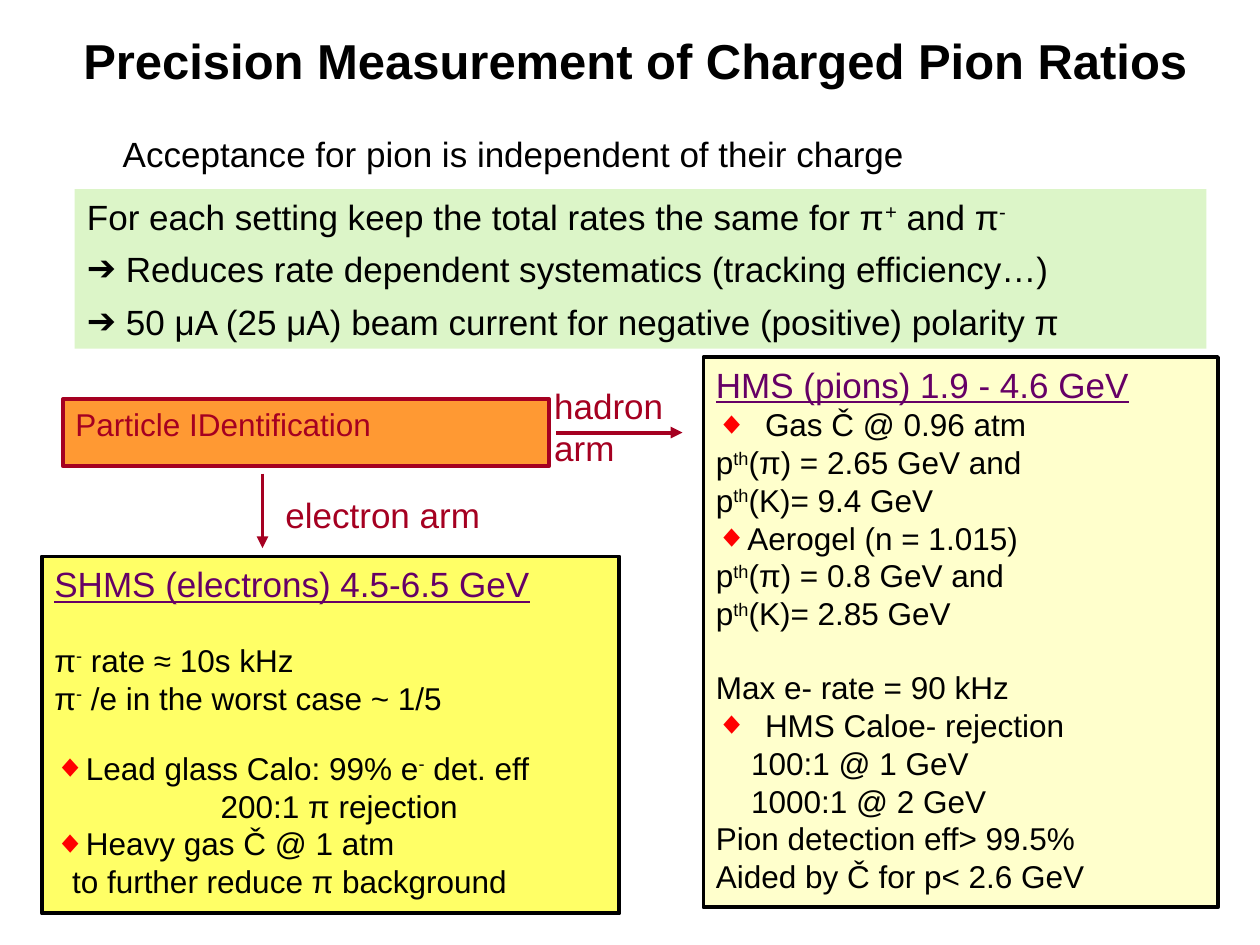
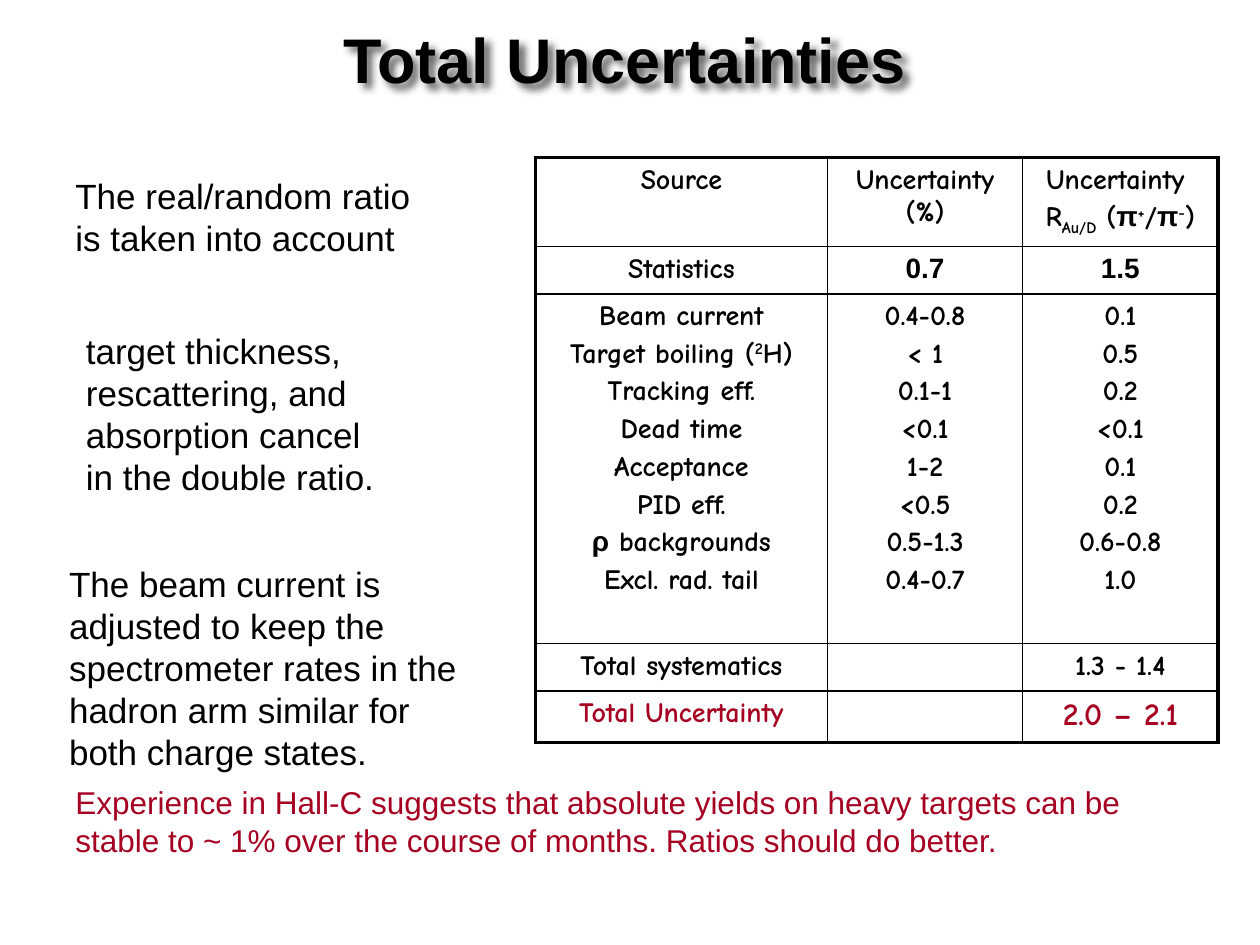
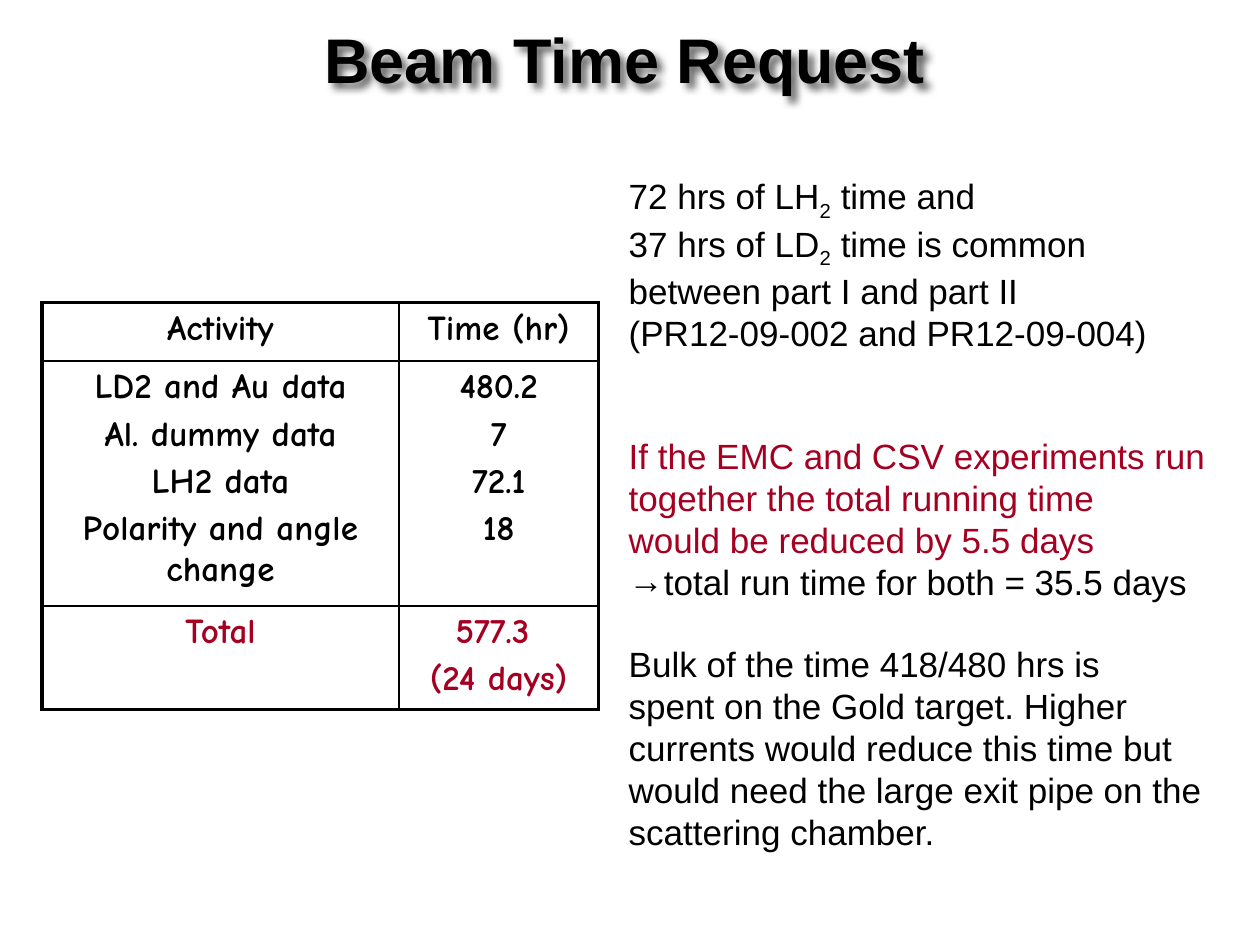
from itertools import groupby

from lxml import etree
from pptx import Presentation
from pptx.dml.color import RGBColor
from pptx.enum.shapes import MSO_CONNECTOR, MSO_SHAPE
from pptx.enum.text import MSO_ANCHOR, PP_ALIGN
from pptx.oxml.ns import qn
from pptx.util import Inches, Pt

RECTANGLE = MSO_SHAPE.RECTANGLE
STRAIGHT = MSO_CONNECTOR.STRAIGHT
TOP, MIDDLE = MSO_ANCHOR.TOP, MSO_ANCHOR.MIDDLE
LEFT, CENTER = PP_ALIGN.LEFT, PP_ALIGN.CENTER

# Shared look
WIDTH, HEIGHT = Inches(10), Inches(7.5)
COLUMNS = 120  # square grid: 120 columns by 90 rows
TITLE_ONLY = 5
BLACK, CRIMSON, PURPLE, RED = "000000", "A50021", "660066", "FF0000"
BODY_FONT, TABLE_FONT = "Arial", "Comic Neue"
THICK, THIN = 2.25, 1
BASELINES = {"^": 30000, "_": -25000}
GREEK = "πρ"

# Paragraph formats
BODY = {"size": 20, "color": BLACK}
SMALL = {"size": 18, "color": BLACK}
LABEL = {"size": 20, "color": CRIMSON}
HEADING = {"size": 20, "color": PURPLE, "underline": True}
DIAMOND = {"bullet": "◆", "bullet_color": RED, "indent": 0.25}
WIDE_DIAMOND = {**DIAMOND, "indent": 0.39}
ARROW = {"bullet": "➔", "indent": 0.31, "after": 6}


def rgb(color):
    return RGBColor.from_string(color)


def grid(*cells):
    return [round(WIDTH * cell / COLUMNS) for cell in cells]


def blank_lines(size, count=1):
    """Space before a paragraph worth some empty lines of a text size."""
    return round(size * 1.15 * count, 1)


def child(parent, tag, **attributes):
    return etree.SubElement(parent, qn(tag), attributes)


# Text
def split_runs(text, font):
    """Yield (text, baseline, font); ^...^ raises and _..._ lowers."""
    baseline = 0
    for is_mark, group in groupby(text, lambda char: char in BASELINES):
        piece = "".join(group)
        if is_mark:
            baseline = 0 if baseline else BASELINES[piece]
            continue
        for is_greek, letters in groupby(piece, lambda char: char in GREEK):
            yield "".join(letters), baseline, BODY_FONT if is_greek else font


def add_bullet(paragraph, style):
    properties = paragraph._p.get_or_add_pPr()
    indent = Inches(style.get("indent", 0))
    properties.set("marL", str(indent))
    if "bullet" in style:
        properties.set("indent", str(-indent))
        color = child(properties, "a:buClr")
        child(color, "a:srgbClr", val=style.get("bullet_color", style["color"]))
        child(properties, "a:buFont", typeface=BODY_FONT)
        child(properties, "a:buChar", char=style["bullet"])
    else:
        child(properties, "a:buNone")


def write(frame, paragraphs, base):
    """Fill a frame with strings or (string, format) pairs."""
    frame.word_wrap = True
    for index, item in enumerate(paragraphs):
        text, own = (item, {}) if isinstance(item, str) else item
        style = {**base, **own}
        paragraph = frame.add_paragraph() if index else frame.paragraphs[0]
        add_bullet(paragraph, style)
        layout = {
            "alignment": style.get("align", LEFT),
            "space_before": Pt(style.get("before", 0) if index else 0),
            "space_after": Pt(style.get("after", 0)),
            "line_spacing": style.get("spacing", 1.0),
        }
        for name, value in layout.items():
            setattr(paragraph, name, value)
        for piece, baseline, font in split_runs(text, style.get("font", BODY_FONT)):
            run = paragraph.add_run()
            run.text = piece
            look = {
                "name": font,
                "size": Pt(style["size"]),
                "bold": style.get("bold", False),
                "underline": style.get("underline", False),
            }
            for name, value in look.items():
                setattr(run.font, name, value)
            run.font.color.rgb = rgb(style["color"])
            if baseline:
                run._r.get_or_add_rPr().set("baseline", str(baseline))


def add_title_slide(deck, text, area, size, anchor=TOP, shadow=True):
    slide = deck.slides.add_slide(deck.slide_layouts[TITLE_ONLY])
    title = slide.shapes.title
    title.left, title.top, title.width, title.height = grid(*area)
    frame = title.text_frame
    frame.vertical_anchor = anchor
    write(frame, [text], {"size": size, "color": BLACK, "bold": True,
                          "align": CENTER, "spacing": 0.93})
    if shadow:
        effects = child(title._element.spPr, "a:effectLst")
        outer = child(effects, "a:outerShdw", blurRad="50800", dist="50800",
                      dir="2700000", algn="tl", rotWithShape="0")
        color = child(outer, "a:srgbClr", val=BLACK)
        child(color, "a:alpha", val="60000")
    else:
        for side in ("left", "top", "right", "bottom"):
            setattr(frame, f"margin_{side}", 0)
    return slide


def add_text(slide, area, paragraphs, base=BODY):
    write(slide.shapes.add_textbox(*grid(*area)).text_frame, paragraphs, base)


# Panels and arrows
def add_panel(slide, area, fill, paragraphs, base, outline=None):
    panel = slide.shapes.add_shape(RECTANGLE, *grid(*area))
    panel.shadow.inherit = False
    panel.fill.solid()
    panel.fill.fore_color.rgb = rgb(fill)
    if outline:
        panel.line.color.rgb = rgb(outline)
        panel.line.width = Pt(THICK)
    else:
        panel.line.fill.background()
    panel.text_frame.vertical_anchor = TOP
    write(panel.text_frame, paragraphs, base)


def add_arrow(slide, start, end):
    arrow = slide.shapes.add_connector(STRAIGHT, *grid(*start, *end))
    arrow.line.color.rgb = rgb(CRIMSON)
    arrow.line.width = Pt(THICK)
    child(arrow.line._get_or_add_ln(), "a:tailEnd", type="triangle")
    child(arrow._element.spPr, "a:effectLst")


# Tables
def set_borders(cell, outer_sides):
    properties = cell._tc.get_or_add_tcPr()
    for side in "LRTB":
        width = THICK if side in outer_sides else THIN
        border = child(properties, f"a:ln{side}", w=str(Pt(width)))
        child(child(border, "a:solidFill"), "a:srgbClr", val=BLACK)


def add_ruled_table(slide, corner, widths, heights, rows, size, special=None):
    """Each cell is a list of lines; the last row is highlighted."""
    special = special or {}
    area = (*corner, sum(widths), sum(heights))
    table = slide.shapes.add_table(len(rows), len(widths), *grid(*area)).table
    table.first_row = table.horz_banding = False
    for column, width in zip(table.columns, grid(*widths)):
        column.width = width
    for row, height in zip(table.rows, grid(*heights)):
        row.height = height
    last_row, last_column = len(rows) - 1, len(widths) - 1
    for r, row in enumerate(rows):
        for c, lines in enumerate(row):
            cell = table.cell(r, c)
            edges = {"L": c == 0, "R": c == last_column,
                     "T": r == 0, "B": r == last_row}
            set_borders(cell, [side for side, outer in edges.items() if outer])
            cell.fill.background()
            if not lines:
                cell.margin_top = cell.margin_bottom = 0
                continue
            style = {"size": size, "font": TABLE_FONT, "bold": True,
                     "align": CENTER, "before": size * 0.2,
                     "color": CRIMSON if r == last_row else BLACK}
            write(cell.text_frame, lines, {**style, **special.get((r, c), {})})


# Slides
def build_pion_ratios(deck):
    slide = add_title_slide(deck, "Precision Measurement of Charged Pion Ratios",
                            (7, 1, 107, 10), 28, MIDDLE, shadow=False)
    add_text(slide, (10.5, 12, 104.5, 9.2),
             ["Acceptance for pion is independent of their charge"])
    add_panel(slide, (7.1, 18, 107.8, 15.2), "DCF5C8", [
        ("For each setting keep the total rates the same for π^+^ and π^-^",
         {"after": 6}),
        ("Reduces rate dependent systematics (tracking efficiency…)", ARROW),
        ("50 μA (25 μA) beam current for negative (positive) polarity π", ARROW),
    ], BODY)

    # Particle identification branches into two arms
    add_panel(slide, (6, 38, 46.3, 6.4), "FF9933", ["Particle IDentification"],
              {"size": 18, "color": CRIMSON}, CRIMSON)
    add_arrow(slide, (25, 45.1), (25, 52.2))
    add_text(slide, (26, 46.4, 23.4, 5.2), ["electron arm"], LABEL)
    add_panel(slide, (4, 53, 55, 34), "FFFF66", [
        ("SHMS (electrons) 4.5-6.5 GeV", HEADING),
        ("π^-^ rate ≈ 10s kHz", {"before": blank_lines(18)}),
        "π^-^ /e in the worst case ~ 1/5",
        ("Lead glass Calo: 99% e^-^ det. eff",
         {**DIAMOND, "before": blank_lines(16)}),
        ("200:1 π rejection", {"indent": 1.32}),
        ("Heavy gas Č @ 1 atm", DIAMOND),
        ("to further reduce π background", {"indent": 0.14}),
    ], SMALL, BLACK)
    add_arrow(slide, (53, 41.2), (65, 41.2))
    add_text(slide, (51.6, 36, 14.4, 9.2), ["hadron", "arm"], LABEL)
    add_panel(slide, (67, 34, 49, 52.4), "FFFFCC", [
        ("HMS (pions) 1.9 - 4.6 GeV", HEADING),
        ("Gas Č @ 0.96 atm", WIDE_DIAMOND),
        "p^th^(π) = 2.65 GeV and",
        "p^th^(K)= 9.4 GeV",
        ("Aerogel (n = 1.015)", DIAMOND),
        "p^th^(π) = 0.8 GeV and",
        "p^th^(K)= 2.85 GeV",
        ("Max e- rate = 90 kHz", {"before": blank_lines(18)}),
        ("HMS Caloe- rejection", WIDE_DIAMOND),
        ("100:1 @ 1 GeV", {"indent": 0.28}),
        ("1000:1 @ 2 GeV", {"indent": 0.28}),
        "Pion detection eff> 99.5%",
        "Aided by Č for p< 2.6 GeV",
    ], SMALL, BLACK)


def build_uncertainties(deck):
    slide = add_title_slide(deck, "Total Uncertainties", (7, 2, 105, 9), 36)
    rows = [
        [["Source"], ["Uncertainty (%)"], ["Uncertainty ", "R_Au/D_ (π^+^/π^-^)"]],
        [["Statistics"], ["0.7"], ["1.5"]],
        [["Beam current", "Target boiling (^2^H)", "Tracking eff.", "Dead time",
          "Acceptance", "PID eff.", "ρ backgrounds", "Excl. rad. tail"],
         ["0.4-0.8", "< 1", "0.1-1", "<0.1", "1-2", "<0.5", "0.5-1.3", "0.4-0.7"],
         ["0.1", "0.5", "0.2", "<0.1", "0.1", "0.2", "0.6-0.8", "1.0"]],
        [["Total systematics"], [], ["1.3 - 1.4"]],
        [["Total Uncertainty"], [], ["2.0 – 2.1"]],
    ]
    special = {(1, 1): {"font": BODY_FONT}, (1, 2): {"font": BODY_FONT},
               (4, 2): {"size": 18}}
    add_ruled_table(slide, (51, 15), (27.8, 18.6, 18.6),
                    (8.5, 4.5, 33.3, 4.5, 4.9), rows, 16, special)

    # Remarks beside and below the table
    add_text(slide, (6, 16, 41, 9.2),
             ["The real/random ratio", "is taken into account"])
    add_text(slide, (7, 30.8, 36, 17.2), [
        "target thickness, rescattering, and absorption cancel",
        "in the double ratio.",
    ])
    add_text(slide, (5.4, 53, 44.6, 21.2), [
        "The beam current is",
        "adjusted to keep the",
        "spectrometer rates in the",
        "hadron arm similar for",
        "both charge states.",
    ])
    add_text(slide, (6, 74, 110, 8.4), [
        "Experience in Hall-C suggests that absolute yields on heavy targets can be "
        "stable to ~ 1% over the course of months. Ratios should do better.",
    ], {"size": 18, "color": CRIMSON})


def build_beam_time(deck):
    slide = add_title_slide(deck, "Beam Time Request", (7, 2, 105, 9), 36)
    add_text(slide, (58.7, 16, 58.3, 65.9), [
        "72 hrs of LH_2_ time and",
        "37 hrs of LD_2_ time is common",
        "between part I and part II",
        "(PR12-09-002 and PR12-09-004)",
        ("If the EMC and CSV experiments run",
         {**LABEL, "before": blank_lines(20, 2)}),
        ("together the total running time", LABEL),
        ("would be reduced by 5.5 days", LABEL),
        ("total run time for both = 35.5 days", {"bullet": "→", "indent": 0.28}),
        ("Bulk of the time 418/480 hrs is", {"before": blank_lines(20)}),
        "spent on the Gold target. Higher",
        "currents would reduce this time but would need the large exit pipe "
        "on the scattering chamber.",
    ])
    rows = [
        [["Activity"], ["Time (hr)"]],
        [["LD2 and Au data", "Al. dummy data", "LH2 data",
          "Polarity and angle change"], ["480.2", "7", "72.1", "18"]],
        [["Total"], ["577.3 ", "(24 days)"]],
    ]
    add_ruled_table(slide, (4, 28.8), (34, 19), (5.6, 23.3, 9.8), rows, 20)


def main():
    deck = Presentation()
    deck.slide_width, deck.slide_height = WIDTH, HEIGHT
    build_pion_ratios(deck)
    build_uncertainties(deck)
    build_beam_time(deck)
    deck.save("out.pptx")


if __name__ == "__main__":
    main()
